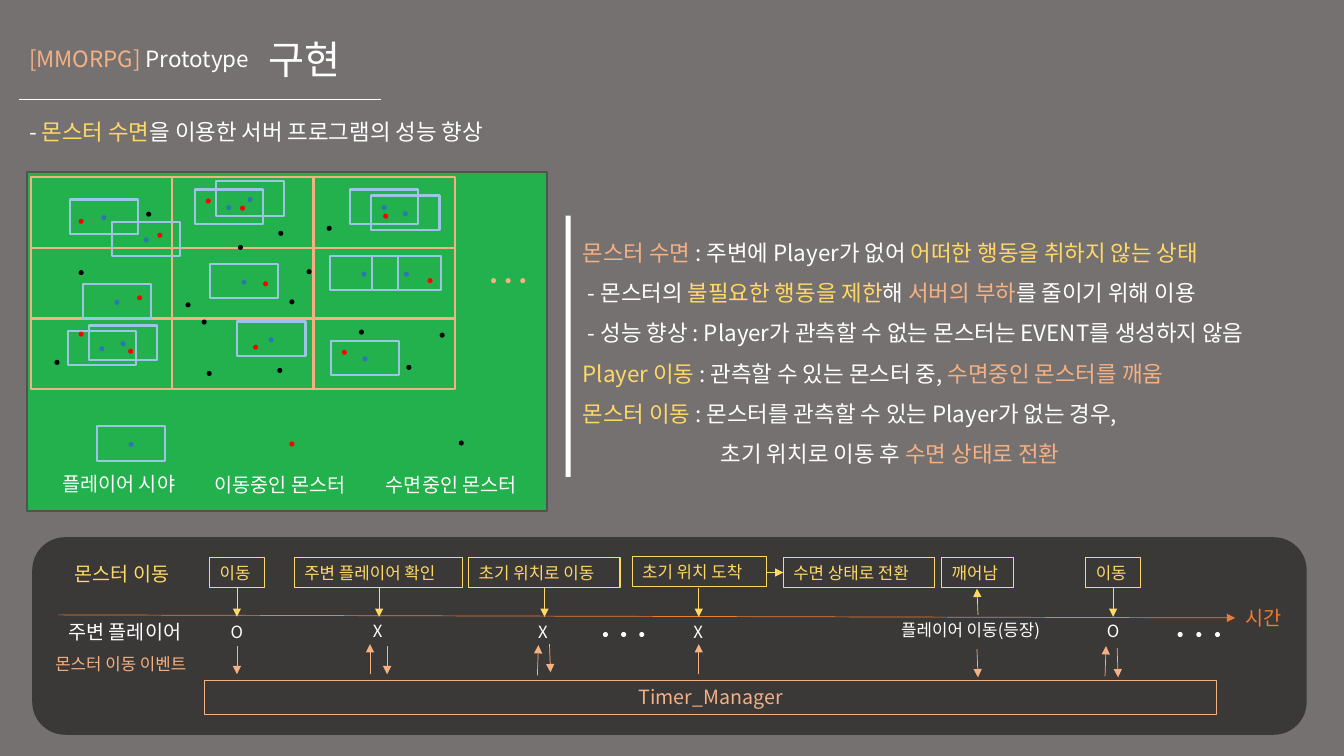
from lxml import etree
from pptx import Presentation, util as u
from pptx.dml.color import RGBColor
from pptx.enum import shapes, text
from pptx.oxml.ns import qn

FONT = "Noto Sans CJK KR"
WHITE, BLACK, RED, BLUE = "FFFFFF", "000000", "FF0000", "2E75B6"
PEACH, YELLOW, ORANGE, SKY = "F4B183", "FFD966", "ED7D31", "9DC3E6"
RECT, OVAL = shapes.MSO_SHAPE.RECTANGLE, shapes.MSO_SHAPE.OVAL
VIEW_WIDTH, VIEW_HEIGHT, DOT = 0.68, 0.34, 0.05
rgb = RGBColor.from_string

deck = Presentation()
deck.slide_width, deck.slide_height = u.Inches(13.33), u.Inches(7.5)
page = deck.slides.add_slide(deck.slide_layouts[1])
page.background.fill.solid()
page.background.fill.fore_color.rgb = rgb("767171")


def add_block(kind, left, top, width, height, fill=None, line=None, weight=1.5):
    box = page.shapes.add_shape(kind, *map(u.Inches, (left, top, width, height)))
    box.shadow.inherit = False
    if fill:
        box.fill.solid()
        box.fill.fore_color.rgb = rgb(fill)
    else:
        box.fill.background()
    if line:
        box.line.color.rgb = rgb(line)
        box.line.width = u.Pt(weight)
    else:
        box.line.fill.background()
    return box


def write(box, lines, size, spacing=None, wrap=False, align=text.PP_ALIGN.LEFT,
          anchor=text.MSO_ANCHOR.TOP):
    """Fill a box with lines, each a list of (words, colour) spans."""
    frame = box.text_frame
    frame.auto_size = text.MSO_AUTO_SIZE.NONE
    frame.word_wrap = wrap
    frame.vertical_anchor = anchor
    for index, spans in enumerate(lines):
        para = frame.add_paragraph() if index else frame.paragraphs[0]
        para.alignment = align
        para.space_before = u.Pt(0)
        if spacing:
            para.line_spacing = spacing
        for words, colour in spans:
            span = para.add_run()
            span.text = words
            span.font.size = u.Pt(size)
            span.font.color.rgb = rgb(colour)
            span.font.name = FONT
            etree.SubElement(span.font._element, qn("a:ea"), typeface=FONT)


# Heading
title = page.shapes.title
title.left, title.top, title.width, title.height = map(u.Inches, (2.56, 0.17, 1.8, 0.89))
write(title, [[("구현", WHITE)]], 28, 0.9, True, anchor=text.MSO_ANCHOR.MIDDLE)

# Map with its grid of sectors
add_block(RECT, 0.27, 1.71, 5.16, 3.36, "22B14C", "525252")
for row in range(3):
    for column in range(3):
        add_block(RECT, 0.31 + 1.4 * column, 1.76 + 0.7 * row, 1.4, 0.7, line=PEACH)

# Each player stands in the middle of a field of view
views = [
    (0.69, 1.98), (1.11, 2.2), (1.93, 1.88), (2.14, 1.8), (2.35, 3.19),
    (0.82, 2.82), (3.27, 2.54), (2.08, 2.62), (0.67, 3.28), (3.68, 1.94),
    (3.28, 3.38), (3.69, 2.54), (0.96, 4.23), (3.47, 1.88), (0.88, 3.23),
]
for left, top in views:
    add_block(RECT, left, top, VIEW_WIDTH, VIEW_HEIGHT, line=SKY)
    add_block(OVAL, left + (VIEW_WIDTH - DOT) / 2, top + 0.155, DOT, DOT, BLUE)

dots = {
    BLACK: [
        (1.84, 3), (3.24, 2.24), (1.45, 2.1), (3.56, 3.27), (2.75, 3.65),
        (2, 3.17), (0.78, 2.68), (4.03, 3.62), (0.54, 3.57), (2.05, 3.68),
        (3.04, 2.67), (4.36, 3.3), (2.87, 2.97), (2.36, 2.43), (2.76, 2.29),
        (4.55, 4.37),
    ],
    RED: [
        (2.61, 2.79), (1.27, 3.46), (3.8, 2.12), (2.87, 4.38), (0.78, 3.29),
        (4.24, 2.76), (2.38, 2.04), (2.04, 1.97), (1.56, 2.31), (0.78, 2.17),
        (1.36, 2.93), (3.39, 3.47), (2.51, 3.42),
    ],
}
for colour, places in dots.items():
    for left, top in places:
        add_block(OVAL, left, top, DOT, DOT, colour)

# Description beside a white bar
add_block(RECT, 5.61, 2.14, 0.05, 2.59, WHITE)
body = page.placeholders[1]
body.left, body.top, body.width, body.height = map(u.Inches, (5.68, 2.14, 7.47, 2.59))
write(body, [
    [("몬스터 수면 ", PEACH), (": 주변에 Player가 없어 ", WHITE),
     ("어떠한 행동을 취하지 않는 상태", YELLOW)],
    [(" - 몬스터의 ", WHITE), ("불필요한 행동을 제한", YELLOW), ("해 ", WHITE),
     ("서버의 부하", PEACH), ("를 줄이기 위해 이용", WHITE)],
    [(" - 성능 향상 : Player가 관측할 수 없는 몬스터는 EVENT를 생성하지 않음", WHITE)],
    [("Player 이동 ", YELLOW), (": 관측할 수 있는 몬스터 중, ", WHITE),
     ("수면중인 몬스터를 깨움", PEACH)],
    [("몬스터 이동 ", YELLOW), (": 몬스터를 관측할 수 있는 Player가 없는 경우,", WHITE)],
    [("초기 위치로 이동 후 ", WHITE), ("수면 상태로 전환", PEACH)],
], 16, 1.5, True, anchor=text.MSO_ANCHOR.MIDDLE)
for para in body.text_frame.paragraphs:
    properties = para._p.get_or_add_pPr()
    properties.set("marL", "0")
    properties.set("indent", "0")
    etree.SubElement(properties, qn("a:buNone"))
properties.set("marL", str(u.Inches(1.37)))

# Timeline panel
panel = add_block(shapes.MSO_SHAPE.ROUNDED_RECTANGLE, 0.32, 5.33, 12.64, 1.96, "3B3838")
manager = add_block(RECT, 2.03, 6.75, 10.04, 0.34, line=PEACH, weight=0.75)
write(manager, [[("Timer_Manager", PEACH)]], 14, wrap=True, align=text.PP_ALIGN.CENTER)

steps = [
    ("이동", 2.08, 5.53, 0.54), ("주변 플레이어 확인", 2.92, 5.53, 1.67),
    ("초기 위치로 이동", 4.65, 5.53, 1.5), ("초기 위치 도착", 6.27, 5.52, 1.33),
    ("수면 상태로 전환", 7.77, 5.53, 1.5), ("깨어남", 9.34, 5.53, 0.71),
    ("이동", 10.77, 5.53, 0.54),
]
for words, left, top, width in steps:
    step = add_block(RECT, left, top, width, 0.3, line=YELLOW, weight=0.75)
    write(step, [[(words, YELLOW)]], 12)

# Free labels: spans, left, top, width, height, size, line spacing
labels = [
    ([("[MMORPG] ", PEACH), ("Prototype", WHITE)], 0.19, 0.4, 2.98, 0.37, 16, None),
    ([("- ", WHITE), ("몬스터 수면", YELLOW), ("을 이용한 서버 프로그램의 성능 향상", WHITE)],
     0.19, 0.99, 5.84, 0.45, 16, 1.5),
    ([("플레이어 시야", WHITE)], 0.52, 4.63, 1.45, 0.34, 14, None),
    ([("이동중인 몬스터", WHITE)], 2.03, 4.64, 1.64, 0.34, 14, None),
    ([("수면중인 몬스터", WHITE)], 3.73, 4.64, 1.64, 0.34, 14, None),
    ([("몬스터 이동", YELLOW)], 0.64, 5.53, 1.25, 0.34, 14, None),
    ([("주변 플레이어", WHITE)], 0.58, 6.1, 1.45, 0.34, 14, None),
    ([("몬스터 이동 이벤트", PEACH)], 0.45, 6.44, 1.67, 0.3, 12, None),
    ([("시간", ORANGE)], 12.25, 5.96, 0.59, 0.34, 14, None),
    ([("O", WHITE)], 2.19, 6.12, 0.33, 0.3, 12, None),
    ([("X", WHITE)], 3.6, 6.11, 0.3, 0.3, 12, None),
    ([("X", WHITE)], 5.24, 6.12, 0.3, 0.3, 12, None),
    ([("X", WHITE)], 6.78, 6.12, 0.3, 0.3, 12, None),
    ([("플레이어 이동(등장)", WHITE)], 8.84, 6.1, 1.71, 0.3, 12, None),
    ([("O", WHITE)], 10.88, 6.11, 0.33, 0.3, 12, None),
]
for spans, left, top, width, height, size, spacing in labels:
    label = page.shapes.add_textbox(*map(u.Inches, (left, top, width, height)))
    write(label, [spans], size, spacing)

# Ellipses made of three dots
for left, top, gap, colour in [(4.87, 2.76, 0.145, PEACH), (5.98, 6.27, 0.18, WHITE),
                               (11.68, 6.27, 0.185, WHITE)]:
    for index in range(3):
        add_block(OVAL, left + gap * index, top, DOT, DOT, colour)

# Heading rule, time axis and event arrows
lines = [(3.78, 0.99, 0.19, 0.99, WHITE), (0.58, 6.1, 12.25, 6.13, ORANGE),
         (7.6, 5.68, 7.77, 5.68, YELLOW), (9.7, 6.1, 9.69, 5.84, YELLOW),
         (9.69, 6.44, 9.7, 6.72, PEACH), (11.08, 6.43, 11.09, 6.72, PEACH),
         (5.45, 6.39, 5.46, 6.67, PEACH), (10.96, 6.71, 10.97, 6.41, PEACH),
         (5.33, 6.7, 5.34, 6.4, PEACH)]
lines += [(x, 5.83, x, 6.12, YELLOW) for x in (2.35, 3.76, 5.4, 6.93, 11.04)]
lines += [(x, 6.41, x, 6.69, PEACH) for x in (2.35, 3.84)]
lines += [(x, 6.69, x, 6.39, PEACH) for x in (3.67, 6.93)]
for *ends, colour in lines:
    arrow = page.shapes.add_connector(shapes.MSO_CONNECTOR.STRAIGHT, *map(u.Inches, ends))
    arrow.line.color.rgb = rgb(colour)
    arrow.line.width = u.Pt(0.5)
    if colour != WHITE:
        etree.SubElement(arrow.line._get_or_add_ln(), qn("a:tailEnd"), type="triangle")
    etree.SubElement(arrow._element.spPr, qn("a:effectLst"))

deck.save("out.pptx")
